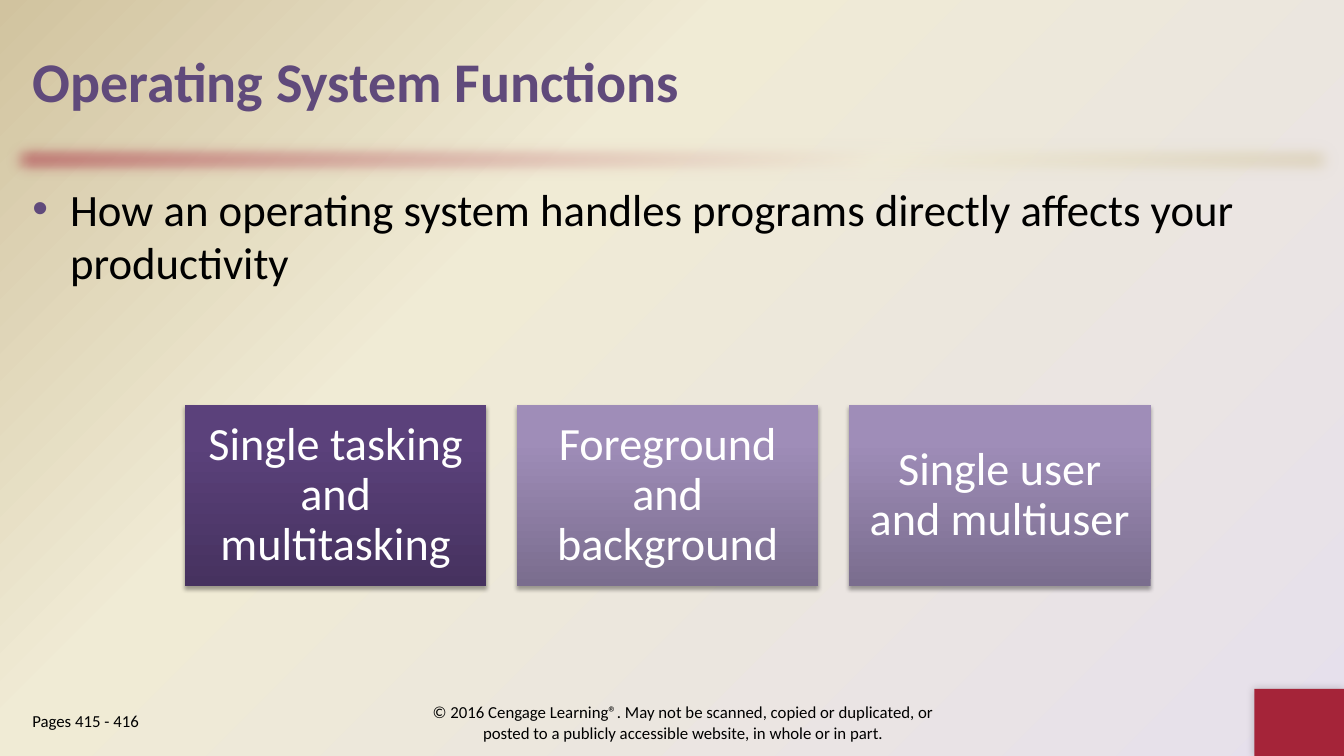
import pptx
import pptx.dml.color
import pptx.enum.shapes
import pptx.enum.text
import pptx.oxml
import pptx.oxml.ns
import pptx.util

Pt = pptx.util.Pt
ALIGN = pptx.enum.text.PP_ALIGN
ANCHOR = pptx.enum.text.MSO_ANCHOR
NAMESPACE = pptx.oxml.ns.nsdecls("a")

PURPLE, RED, CREAM, SAND, LAVENDER = "604A7B", "A52439", "F0EBD5", "D1C39F", "E6E0EC"
DARK_STOPS = [(0, "46325F"), (80, "5B417B"), (100, "5B407C")]
LIGHT_STOPS = [(0, "7A6D8E"), (80, "9F8DB8"), (100, "9F8DBA")]
LINEAR = '<a:lin ang="{}" scaled="0"/>'
FROM_CORNER = '<a:path path="circle"><a:fillToRect l="100000" t="100000"/></a:path>'


def color(value):
    return pptx.dml.color.RGBColor.from_string(value)


def set_values(target, values):
    for name, value in values.items():
        setattr(target, name, value)


def element(xml):
    return pptx.oxml.parse_xml(xml.replace(">", f" {NAMESPACE}>", 1))


def set_gradient(parent, stops, direction):
    """Replace the solid fill in parent by a gradient."""
    stop_xml = "".join(
        f'<a:gs pos="{position * 1000}"><a:srgbClr val="{value}"/></a:gs>'
        for position, value in stops
    )
    solid = parent.find(pptx.oxml.ns.qn("a:solidFill"))
    parent.replace(solid, element(
        f"<a:gradFill><a:gsLst>{stop_xml}</a:gsLst>{direction}</a:gradFill>"))


def add_effect(shape, xml):
    effects = shape._element.spPr.find(pptx.oxml.ns.qn("a:effectLst"))
    effects.append(element(xml))


def add_shadow(shape, opacity, blur, distance, angle):
    add_effect(
        shape,
        f'<a:outerShdw blurRad="{Pt(blur)}" dist="{Pt(distance)}" dir="{angle * 60000}" '
        f'rotWithShape="0"><a:srgbClr val="000000"><a:alpha val="{opacity * 1000}"/>'
        "</a:srgbClr></a:outerShdw>")


def add_rectangle(page, place, fill):
    shape = page.shapes.add_shape(
        pptx.enum.shapes.MSO_SHAPE.RECTANGLE, *map(Pt, place))
    shape.fill.solid()
    shape.fill.fore_color.rgb = color(fill)
    shape.line.fill.background()
    shape.shadow.inherit = False
    return shape


def write(box, text, size, ink="000000", bold=False, frame_values=None, para_values=None):
    frame = box.text_frame
    set_values(frame, {"word_wrap": True, "auto_size": pptx.enum.text.MSO_AUTO_SIZE.NONE,
                       **(frame_values or {})})
    para = frame.paragraphs[0]
    set_values(para, {"alignment": ALIGN.LEFT, **(para_values or {})})
    span = para.add_run()
    span.text = text
    set_values(span.font, {"name": "Calibri", "size": Pt(size), "bold": bold})
    span.font.color.rgb = color(ink)
    return para


def add_text(page, place, text, size, **formats):
    return write(page.shapes.add_textbox(*map(Pt, place)), text, size, **formats)


def add_bullet(para, ink, indent):
    properties = para._p.get_or_add_pPr()
    set_indent = {"marL": Pt(indent), "indent": -Pt(indent)}
    for name, value in set_indent.items():
        properties.set(name, str(value))
    properties.append(element(f'<a:buClr><a:srgbClr val="{ink}"/></a:buClr>'))
    properties.append(element('<a:buFont typeface="Arial"></a:buFont>'))
    properties.append(element('<a:buChar char="•"></a:buChar>'))


def add_background(page):
    page.background.fill.solid()
    page.background.fill.fore_color.rgb = color(CREAM)
    properties = page._element.xpath("p:cSld/p:bg/p:bgPr")[0]
    set_gradient(properties, [(0, LAVENDER), (65, CREAM), (100, SAND)], FROM_CORNER)


def add_divider(page):
    bar = add_rectangle(page, (0, 96, 960, 36), RED)
    set_gradient(bar._element.spPr, [(0, RED), (65, CREAM), (100, SAND)],
                 LINEAR.format(45 * 60000))
    add_effect(bar, f'<a:softEdge rad="{Pt(12.5)}"></a:softEdge>')


def add_title(page, text):
    title = page.shapes.title
    set_values(title, {"left": Pt(16), "top": Pt(12), "width": Pt(928), "height": Pt(90)})
    write(title, text, 40, PURPLE, True, {"vertical_anchor": ANCHOR.MIDDLE})


def add_topic(page, place, text, stops):
    card = add_rectangle(page, place, stops[-1][1])
    set_gradient(card._element.spPr, stops, LINEAR.format(270 * 60000))
    add_shadow(card, 35, 3.1, 1.8, 90)
    margins = {f"margin_{side}": Pt(10) for side in ("left", "top", "right", "bottom")}
    write(card, text, 33, "FFFFFF",
          frame_values={"vertical_anchor": ANCHOR.MIDDLE, **margins},
          para_values={"alignment": ALIGN.CENTER, "line_spacing": 0.9})


def main():
    deck = pptx.Presentation()
    set_values(deck, {"slide_width": Pt(960), "slide_height": Pt(540)})
    page = deck.slides.add_slide(deck.slide_layouts.get_by_name("Title Only"))

    add_background(page)
    add_divider(page)
    corner = add_rectangle(page, (896, 492, 64, 48), RED)
    add_shadow(corner, 20, 6, 0, 225)
    add_title(page, "Operating System Functions")

    statement = add_text(
        page, (16, 126, 928, 366),
        "How an operating system handles programs directly affects your productivity", 32)
    add_bullet(statement, PURPLE, 27)

    add_text(
        page, (288, 498, 400, 36),
        "© 2016 Cengage Learning®. May not be scanned, copied or duplicated, "
        "or posted to a publicly accessible website, in whole or in part.", 12,
        frame_values={"vertical_anchor": ANCHOR.MIDDLE},
        para_values={"alignment": ALIGN.CENTER})
    add_text(page, (16, 504, 176, 36), "Pages 415 - 416", 12)

    topics = [
        ("Single tasking and multitasking", DARK_STOPS),
        ("Foreground and background", LIGHT_STOPS),
        ("Single user and multiuser", LIGHT_STOPS),
    ]
    for index, (text, stops) in enumerate(topics):
        add_topic(page, (132 + 237.2 * index, 289.4, 215.5, 129.4), text, stops)

    deck.save("out.pptx")


if __name__ == "__main__":
    main()
